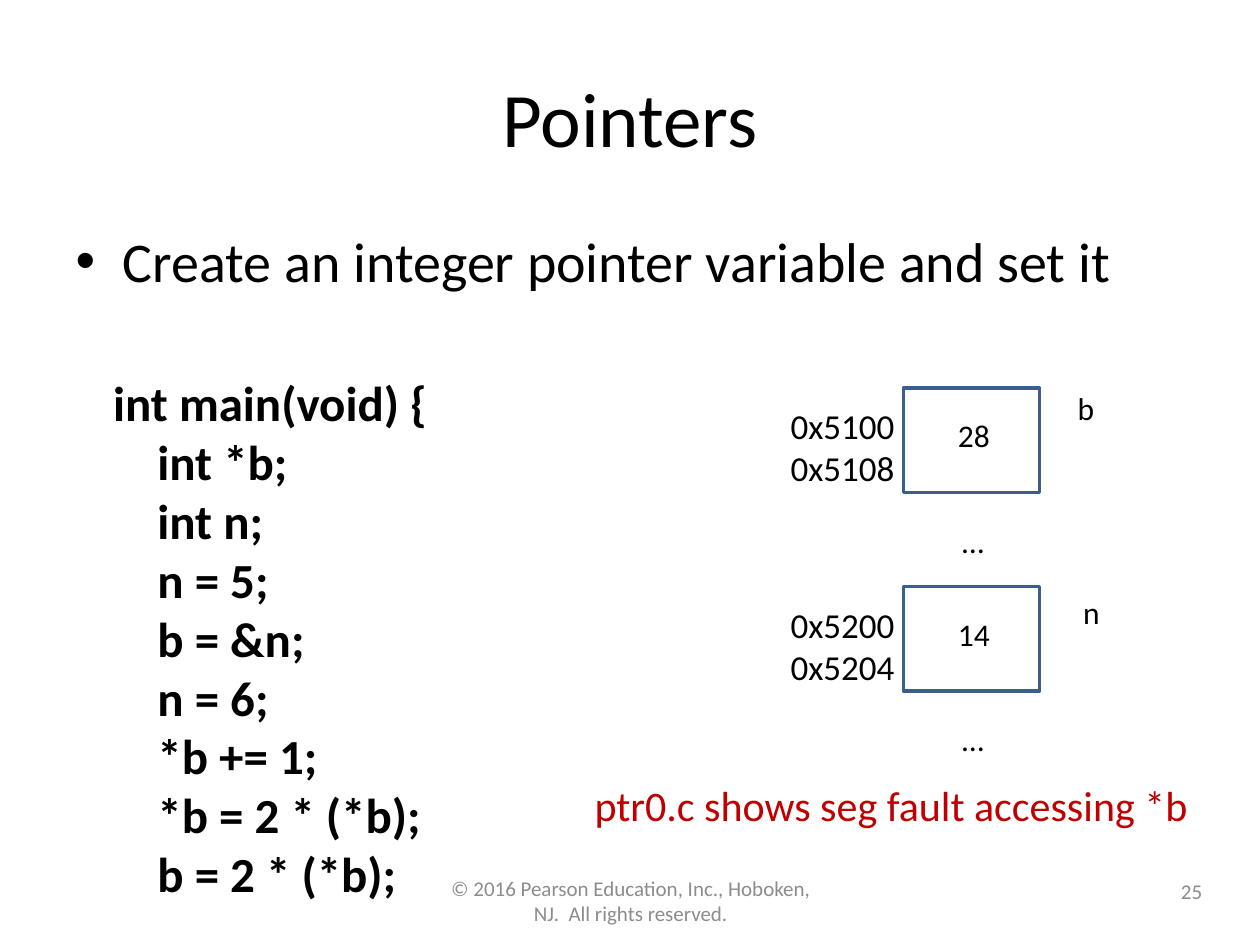
from pptx import Presentation
from pptx.dml.color import RGBColor
from pptx.enum.shapes import MSO_SHAPE as Shape
from pptx.enum.text import MSO_ANCHOR as Anchor, PP_ALIGN as Align
from pptx.util import Inches, Pt

WIDE, HIGH = Inches(10), Inches(7.5)
BLACK, GREY, RED, BLUE = "000000", "8C8C8C", "C00000", "3A5F8C"
CODE = """int main(void) {
    int *b;
    int n;
    n = 5;
    b = &n;
    n = 6;
    *b += 1;
    *b = 2 * (*b);
    b = 2 * (*b);"""


def color(text):
    return RGBColor.from_string(text)


def share(x, y, w, h):
    """Turn percentages of the slide into a box of lengths."""
    return [int(part * side / 100)
            for part, side in zip((x, y, w, h), (WIDE, HIGH, WIDE, HIGH))]


def within(box, x, y, w, h):
    """Find a part whose place and size are shares of a box."""
    left, top, wide, high = box
    return [int(left + x * wide), int(top + y * high),
            int(w * wide), int(h * high)]


def write(frame, text, size, tint=BLACK, bold=False, align=None):
    for i, line in enumerate(text.split("\n")):
        para = frame.paragraphs[0] if i == 0 else frame.add_paragraph()
        if align is not None:
            para.alignment = align
        run = para.add_run()
        run.text = line
        font = run.font
        font.name, font.size, font.bold = "Calibri", Pt(size), bold
        font.color.rgb = color(tint)


def label(slide, box, text, size, tint=BLACK, wrap=False,
          anchor=Anchor.TOP, **style):
    frame = slide.shapes.add_textbox(*box).text_frame
    frame.word_wrap = wrap
    frame.vertical_anchor = anchor
    write(frame, text, size, tint, **style)


def fill(holder, box, text, size, align=None):
    """Move a placeholder to a box and give it its text."""
    holder.left, holder.top, holder.width, holder.height = box
    write(holder.text_frame, text, size, align=align)


def cell(slide, box, spots, value, name, shift):
    """Draw a memory cell with its addresses, value and variable name."""
    rect = slide.shapes.add_shape(Shape.RECTANGLE, *box)
    rect.shadow.inherit = False
    rect.fill.background()
    rect.line.color.rgb = color(BLUE)
    rect.line.width = Pt(2)
    label(slide, within(box, -0.92, 0.1, 0.95, 0.93), spots, 20)
    label(slide, within(box, 0.34, 1.22, 0.35, 0.48), "…", 18)
    label(slide, within(box, 0.31, 0.21, 0.43, 0.48), value, 18)
    label(slide, within(box, *shift, 0.31, 0.48), name, 18)


def footer(slide, box):
    label(slide, within(box, 0, 0.17, 0.51, 0.83),
          "© 2016 Pearson Education, Inc., Hoboken, NJ.  All rights reserved.",
          12, GREY, wrap=True, anchor=Anchor.MIDDLE, align=Align.CENTER)
    label(slide, within(box, 0.63, 0, 0.37, 0.83), "25", 12, GREY,
          wrap=True, anchor=Anchor.MIDDLE, align=Align.RIGHT)


def main():
    deck = Presentation()
    deck.slide_width, deck.slide_height = WIDE, HIGH
    slide = deck.slides.add_slide(deck.slide_layouts[1])
    title, body = slide.placeholders
    fill(title, share(5, 4, 90, 16.67), "Pointers", 44, Align.CENTER)
    fill(body, share(5, 23.33, 90, 15.2),
         "Create an integer pointer variable and set it", 32)
    body.text_frame.paragraphs[0].space_before = Pt(0)
    label(slide, share(8, 38.8, 27.2, 64.13), CODE, 28, bold=True)
    cells = [("0x5100\n0x5108", "28", "b", (1.19, -0.05)),
             ("0x5200\n0x5204", "14", "n", (1.23, 0))]
    for i, parts in enumerate(cells):
        cell(slide, share(71.7, 41.07 + 21 * i, 10.8, 11.07), *parts)
    label(slide, share(46.2, 81.87, 50.1, 6.67),
          "ptr0.c shows seg fault accessing *b", 24, RED, wrap=True)
    footer(slide, share(34.2, 91.6, 62.2, 6.4))
    deck.save("out.pptx")


if __name__ == "__main__":
    main()
